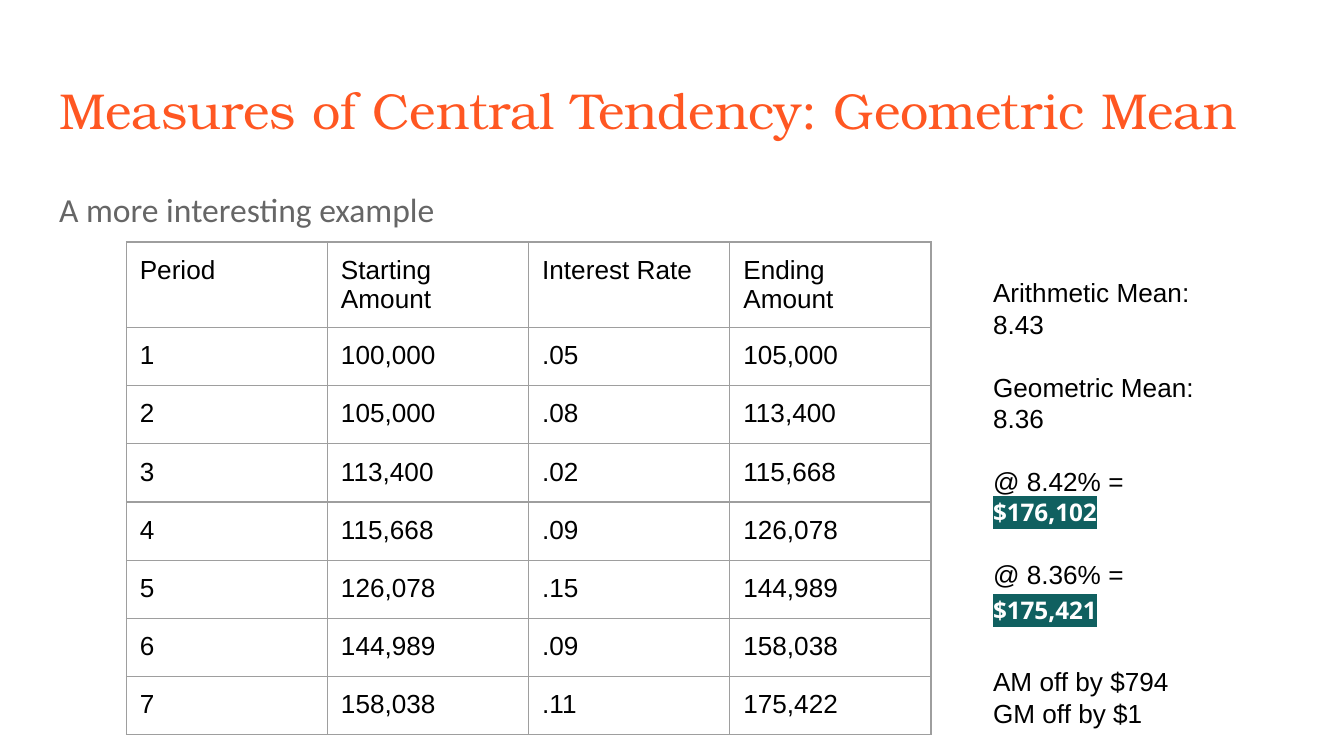
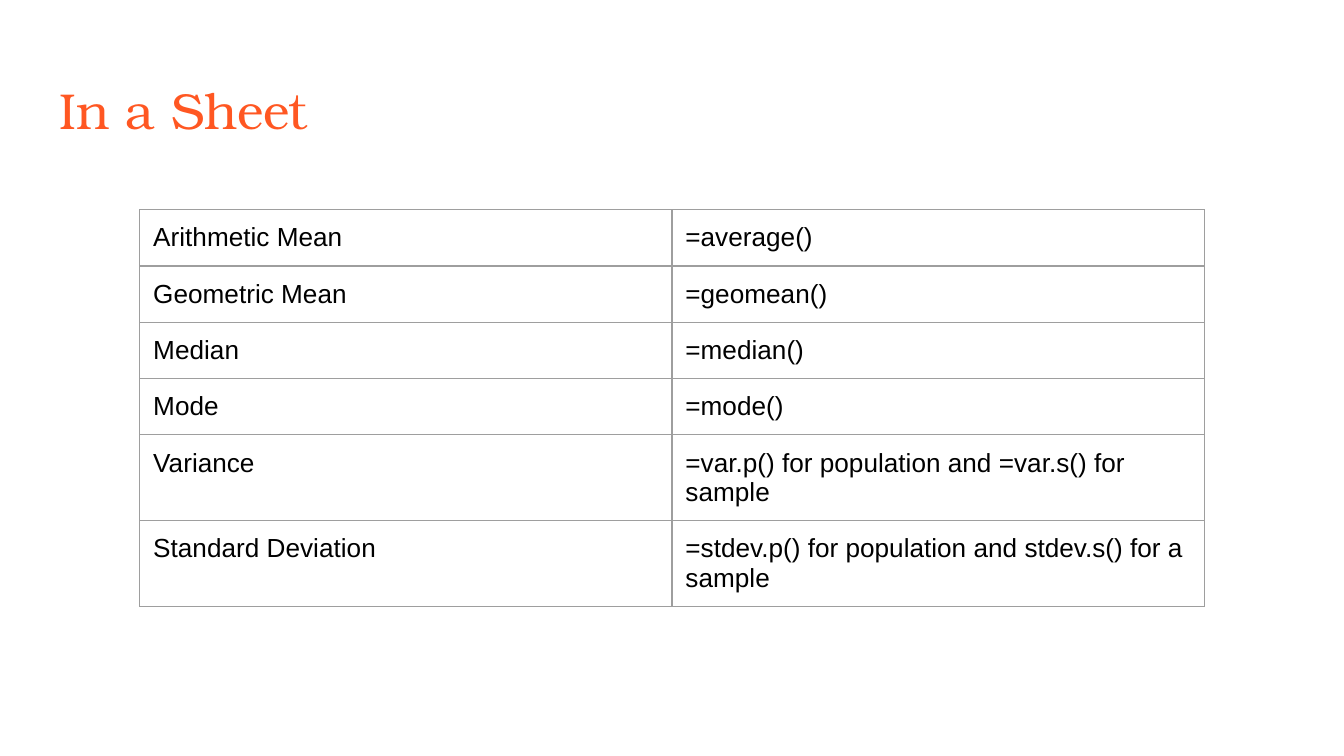
from dataclasses import dataclass
from lxml.etree import SubElement as Sub
from pptx import Presentation
from pptx.dml.color import RGBColor as Rgb
from pptx.enum.text import MSO_ANCHOR as Anchor, MSO_AUTO_SIZE as Fit, PP_ALIGN as Align
from pptx.oxml.ns import qn
from pptx.util import Inches, Pt


# Theme: a font is (name, size, colour, bold)
@dataclass(frozen=True)
class Theme:
    title: tuple = ("TeX Gyre Bonum", 27, "FF5722", False)
    body: tuple = ("Calibri", 18, "666666", False)
    text: tuple = ("Arial", 14, "000000", False)
    mark: tuple = ("Open Sans", 13, "FFFFFF", True)
    glow: str = "106060"
    rule: str = "9E9E9E"
    line: float = 0.75
    pad: float = 1


# Grid: square cells, 100 columns across a 16:9 slide
WIDE = Inches(10)
HIGH = WIDE * 9 // 16
UNIT = WIDE // 100
TITLE = (3.4, 4.9, 93.2, 6.3)
BODY = (3.4, 12.6, 93.2, 37.4)


def grid(*cells):
    return [round(n * UNIT) for n in cells]


class Deck:
    def __init__(self, theme):
        self.theme = theme
        self.prs = Presentation()
        self.prs.slide_width, self.prs.slide_height = WIDE, HIGH
        self.slide = None

    def style(self, font, look):
        name, size, color, bold = look
        font.size, font.bold = Pt(size), bold
        font.color.rgb = Rgb.from_string(color)
        font.name = name

    def inset(self, box):
        box.margin_left, box.margin_top, box.margin_right, box.margin_bottom = (
            grid(*[self.theme.pad] * 4))

    def holder(self, shape, at, text, look):
        shape.left, shape.top, shape.width, shape.height = grid(*at)
        frame = shape.text_frame
        frame.auto_size, frame.vertical_anchor = Fit.NONE, Anchor.TOP
        self.inset(frame)
        frame.text = text
        para = frame.paragraphs[0]
        para.alignment, para.space_before = Align.LEFT, Pt(0)
        props = para._p.get_or_add_pPr()
        props.set("marL", "0")
        props.set("indent", "0")
        Sub(props, qn("a:buNone"))
        self.style(para.font, look)
        return para

    def page(self, title, body=None):
        layout = self.prs.slide_layouts[1 if body else 5]
        self.slide = self.prs.slides.add_slide(layout)
        self.holder(self.slide.shapes.title, TITLE, title, self.theme.title)
        if body:
            para = self.holder(self.slide.placeholders[1], BODY, body, self.theme.body)
            para.line_spacing = 1.15

    def border(self, cell):
        props = cell._tc.get_or_add_tcPr()
        for side in "LRTB":
            edge = Sub(props, qn("a:ln" + side), w=str(Pt(self.theme.line)))
            Sub(Sub(edge, qn("a:solidFill")), qn("a:srgbClr"), val=self.theme.rule)

    def table(self, left, top, col, row, data):
        rows, cols = len(data), len(data[0])
        table = self.slide.shapes.add_table(
            rows, cols, *grid(left, top, col * cols, row * rows)).table
        table.first_row = table.horz_banding = False
        for cell, text in zip(table.iter_cells(), sum(map(list, data), [])):
            self.inset(cell)
            self.border(cell)
            cell.fill.background()
            cell.text = text
            self.style(cell.text_frame.paragraphs[0].font, self.theme.text)

    def mark(self, para, text):
        run = para.add_run()
        run.text = text
        self.style(run.font, self.theme.mark)
        fill = run._r.rPr.find(qn("a:solidFill"))
        glow = Sub(run._r.rPr, qn("a:highlight"))
        Sub(glow, qn("a:srgbClr"), val=self.theme.glow)
        fill.addnext(glow)

    def notes(self, at, lines):
        """Each line is (gap before, spacing, plain text, marked text)."""
        frame = self.slide.shapes.add_textbox(*grid(*at)).text_frame
        frame.word_wrap, frame.auto_size = True, Fit.SHAPE_TO_FIT_TEXT
        self.inset(frame)
        for i, (gap, pitch, plain, mark) in enumerate(lines):
            para = frame.add_paragraph() if i else frame.paragraphs[0]
            para.space_before, para.line_spacing = Pt(gap), pitch
            self.style(para.font, self.theme.text)
            if plain:
                para.add_run().text = plain
            if mark:
                self.mark(para, mark)


def main():
    deck = Deck(Theme())

    # Growth table: each period starts where the last one ended
    deck.page("Measures of Central Tendency: Geometric Mean", "A more interesting example")
    rates = [".05", ".08", ".02", ".09", ".15", ".09", ".11"]
    sums = ["100,000", "105,000", "113,400", "115,668",
            "126,078", "144,989", "158,038", "175,422"]
    head = ("Period", "Starting Amount", "Interest Rate", "Ending Amount")
    rows = [(str(n), *row) for n, row in enumerate(zip(sums, rates, sums[1:]), 1)]
    deck.table(9.4, 18, 14.97, 4.33, [head] + rows)

    # Side notes
    gap, pitch = 17, 1.0
    deck.notes((72.9, 19.6, 17.1, 35.8), [
        (0, pitch, "Arithmetic Mean:", ""),
        (0, pitch, "8.43", ""),
        (gap, pitch, "Geometric Mean: 8.36", ""),
        (gap, pitch, "@ 8.42% = ", "$176,102"),
        (gap, pitch, "@ 8.36% =", ""),
        (0, 1.2, "", "$175,421"),
        (gap + 5, pitch, "AM off by $794", ""),
        (0, pitch, "GM off by $1", ""),
    ])

    # Function list
    deck.page("In a Sheet")
    deck.table(10.4, 15.6, 39.6, 4.17, [
        ("Arithmetic Mean", "=average()"),
        ("Geometric Mean", "=geomean()"),
        ("Median", "=median()"),
        ("Mode", "=mode()"),
        ("Variance", "=var.p() for population and =var.s() for sample"),
        ("Standard Deviation", "=stdev.p() for population and stdev.s() for a sample"),
    ])

    deck.prs.save("out.pptx")


if __name__ == "__main__":
    main()
